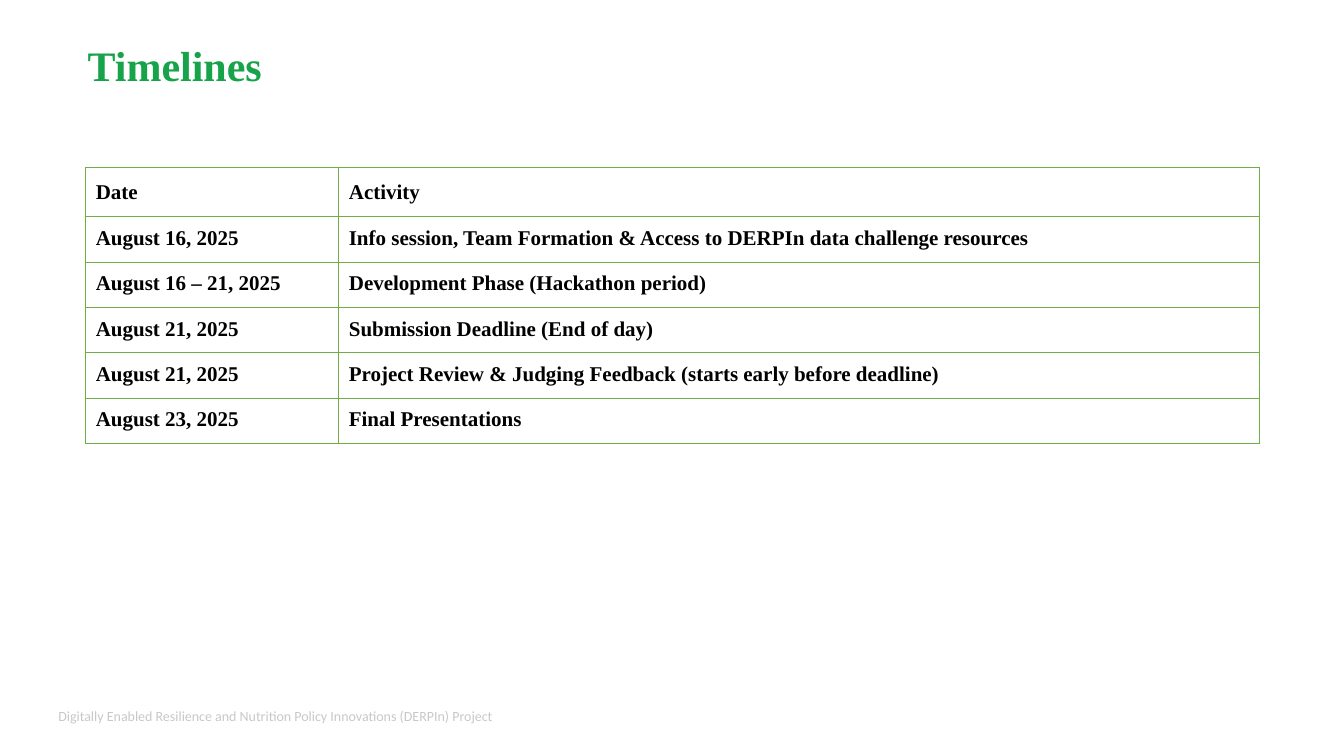
from lxml import etree
from pptx import Presentation
from pptx.dml.color import RGBColor
from pptx.enum.text import MSO_ANCHOR, MSO_AUTO_SIZE, PP_ALIGN
from pptx.oxml.ns import qn
from pptx.util import Inches, Pt

TOP, LEFT = MSO_ANCHOR.TOP, PP_ALIGN.LEFT
NO_AUTOFIT = MSO_AUTO_SIZE.NONE

GREEN = RGBColor(0x16, 0xA3, 0x4A)
BORDER_GREEN = RGBColor(0x70, 0xAD, 0x47)
BLACK = RGBColor(0x00, 0x00, 0x00)
GRAY = RGBColor(0xC7, 0xC9, 0xC9)
SERIF = "Times New Roman"

TIMELINE = [
    ("Date", "Activity"),
    ("August 16, 2025", "Info session, Team Formation & Access to DERPIn data challenge resources"),
    ("August 16 – 21, 2025", "Development Phase (Hackathon period)"),
    ("August 21, 2025", "Submission Deadline (End of day)"),
    ("August 21, 2025", "Project Review & Judging Feedback (starts early before deadline)"),
    ("August 23, 2025", "Final Presentations"),
]
COLUMN_WIDTHS = [2.51, 9.13]
HEADER_HEIGHT, ROW_HEIGHT = 0.49, 0.45


def format_runs(paragraph, font_name, size, color, bold):
    for run in paragraph.runs:
        run.font.name = font_name
        run.font.size = Pt(size)
        run.font.color.rgb = color
        run.font.bold = bold


def add_borders(cell):
    properties = cell._tc.get_or_add_tcPr()
    for side in ("a:lnL", "a:lnR", "a:lnT", "a:lnB"):
        line = etree.SubElement(properties, qn(side), w=str(Pt(0.75)))
        fill = etree.SubElement(line, qn("a:solidFill"))
        etree.SubElement(fill, qn("a:srgbClr"), val=str(BORDER_GREEN))


presentation = Presentation()
presentation.slide_width = Inches(13.33)
presentation.slide_height = Inches(7.5)
slide = presentation.slides.add_slide(presentation.slide_layouts[5])

# Title, indented by a tab
title = slide.shapes.title
title.left, title.top = Inches(0.27), Inches(0.27)
title.width, title.height = Inches(10.87), Inches(0.61)
title_frame = title.text_frame
title_frame.text = "\tTimelines"
title_frame.auto_size = NO_AUTOFIT
title_frame.vertical_anchor = TOP
title_paragraph = title_frame.paragraphs[0]
title_paragraph.alignment = LEFT
title_paragraph.line_spacing = 1.15
title_paragraph.space_before = Pt(0)
title_paragraph.space_after = Pt(4)
format_runs(title_paragraph, SERIF, 30, GREEN, True)

# Timeline table
table_height = HEADER_HEIGHT + ROW_HEIGHT * (len(TIMELINE) - 1)
table = slide.shapes.add_table(
    len(TIMELINE), len(COLUMN_WIDTHS), Inches(0.85), Inches(1.66),
    Inches(sum(COLUMN_WIDTHS)), Inches(table_height)).table
table.first_row = False
table.horz_banding = False
for column, width in zip(table.columns, COLUMN_WIDTHS):
    column.width = Inches(width)

for row_index, entries in enumerate(TIMELINE):
    is_header = row_index == 0
    table.rows[row_index].height = Inches(HEADER_HEIGHT if is_header else ROW_HEIGHT)
    for column_index, entry in enumerate(entries):
        cell = table.cell(row_index, column_index)
        cell.text = entry
        cell.margin_left = cell.margin_right = Inches(0.1)
        cell.margin_top = cell.margin_bottom = Inches(0.1)
        paragraph = cell.text_frame.paragraphs[0]
        if is_header:
            paragraph.line_spacing = 1.15
        format_runs(paragraph, SERIF, 15, BLACK, True)
        add_borders(cell)
        cell.fill.background()

# Project name at the foot
footer = slide.shapes.add_textbox(Inches(0.48), Inches(6.97), Inches(4.6), Inches(0.27))
footer.text_frame.word_wrap = True
footer.text_frame.text = "Digitally Enabled Resilience and Nutrition Policy Innovations (DERPIn) Project"
format_runs(footer.text_frame.paragraphs[0], "Calibri", 10, GRAY, False)

presentation.save("out.pptx")
